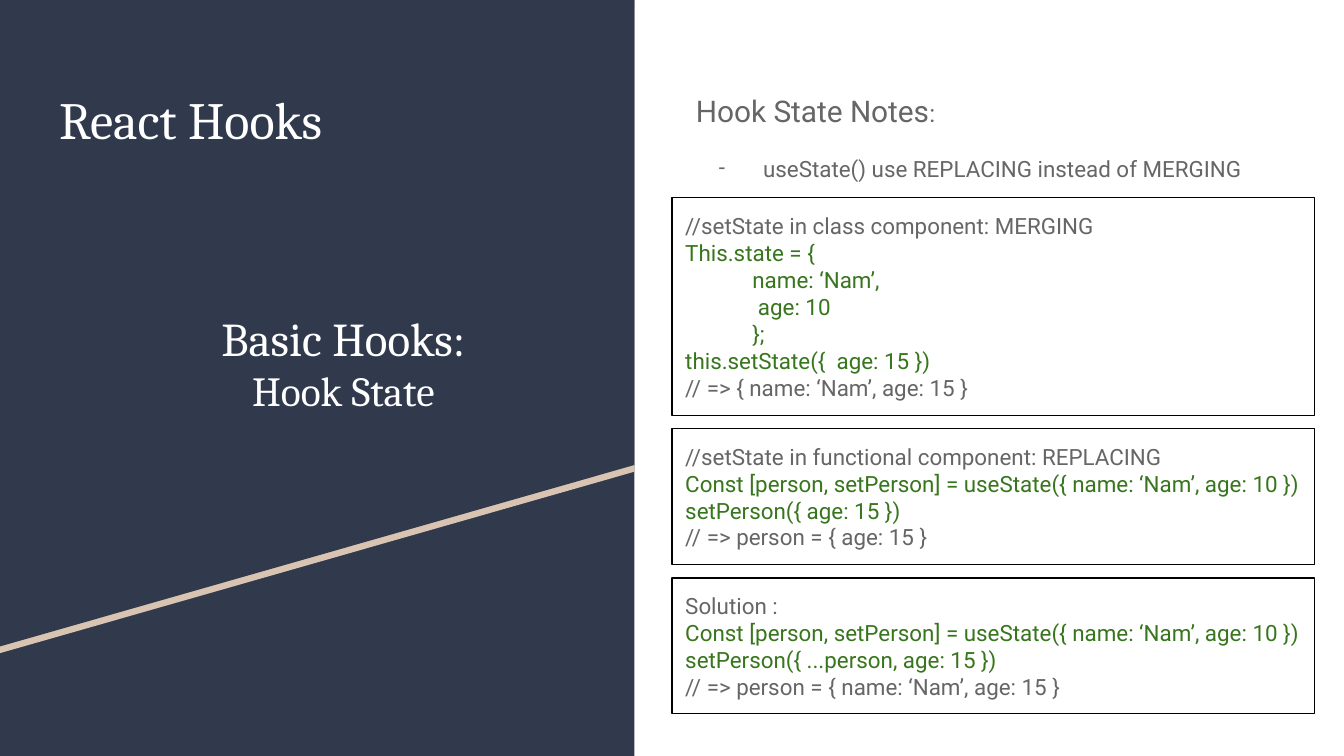
from lxml import etree
from pptx import Presentation
from pptx.dml.color import RGBColor
from pptx.enum.shapes import MSO_SHAPE
from pptx.enum.text import MSO_ANCHOR, MSO_AUTO_SIZE, PP_ALIGN
from pptx.oxml.ns import qn
from pptx.util import Inches, Pt

RECT = MSO_SHAPE.RECTANGLE
TOP, MIDDLE = MSO_ANCHOR.TOP, MSO_ANCHOR.MIDDLE
LEFT, CENTER = PP_ALIGN.LEFT, PP_ALIGN.CENTER
NO_FIT = MSO_AUTO_SIZE.NONE

NAVY, TAN, WHITE, BLACK = "31394D", "D9C4B1", "FFFFFF", "000000"
GREY, GREEN = "666666", "38761D"
SERIF, SANS = "Cambria", "Roboto"
SLIDE_W = 10
SLIDE_H = SLIDE_W * 9 / 16
PANEL_W = 4.72
SLOPE_RISE, STRIPE = 1.35, 0.05
CODE_LEFT, CODE_TOP, CODE_W, CODE_GAP = 5, 1.47, 4.78, 0.1

USE_STATE = "Const [person, setPerson] = useState({ name: ‘Nam’, age: 10 })"
CODE_BLOCKS = [
    (1.62, [
        ("//setState in class component: MERGING", GREY, 0),
        ("This.state = {", GREEN, 0),
        ("name: ‘Nam’,", GREEN, 0.5),
        (" age: 10", GREEN, 0.5),
        ("};", GREEN, 0.5),
        ("this.setState({  age: 15 })", GREEN, 0),
        ("// => { name: ‘Nam’, age: 15 }", GREY, 0),
    ]),
    (1.01, [
        ("//setState in functional component: REPLACING", GREY, 0),
        (USE_STATE, GREEN, 0),
        ("setPerson({ age: 15 })", GREEN, 0),
        ("// => person = { age: 15 }", GREY, 0),
    ]),
    (1.01, [
        ("Solution :", GREY, 0),
        (USE_STATE, GREEN, 0),
        ("setPerson({ ...person, age: 15 })", GREEN, 0),
        ("// => person = { name: ‘Nam’, age: 15 }", GREY, 0),
    ]),
]


def rgb(value):
    return RGBColor.from_string(value)


def set_frame(s, anchor):
    tf = s.text_frame
    values = dict.fromkeys(
        ("margin_left", "margin_top", "margin_right", "margin_bottom"), Inches(0.1))
    values.update(word_wrap=True, auto_size=NO_FIT, vertical_anchor=anchor)
    for name, value in values.items():
        setattr(tf, name, value)
    return tf


def add_run(p, text, size, font, color):
    r = p.add_run()
    r.text = text
    for name, value in {"size": Pt(size), "name": font}.items():
        setattr(r.font, name, value)
    r.font.color.rgb = rgb(color)


def next_paragraph(tf, index, align=LEFT):
    p = tf.add_paragraph() if index else tf.paragraphs[0]
    p.alignment = align
    return p


def set_indent(p, margin, first):
    pPr = p._p.get_or_add_pPr()
    pPr.set("marL", str(Inches(margin)))
    pPr.set("indent", str(Inches(first)))
    return pPr


def set_bullet(pPr, char, size, font, color):
    buClr = etree.SubElement(pPr, qn("a:buClr"))
    etree.SubElement(buClr, qn("a:srgbClr"), val=color)
    etree.SubElement(pPr, qn("a:buSzPts"), val=str(size * 100))
    etree.SubElement(pPr, qn("a:buFont"), typeface=font)
    etree.SubElement(pPr, qn("a:buChar"), char=char)


def paint(s, color):
    s.shadow.inherit = False
    s.fill.solid()
    s.fill.fore_color.rgb = rgb(color)
    s.line.fill.background()


def add_panel(slide, x, y, w, h):
    paint(slide.shapes.add_shape(RECT, *map(Inches, (x, y, w, h))), NAVY)
    low = y + 4.81
    for offset, color in ((STRIPE, TAN), (0, NAVY)):
        corners = [(x, y + offset), (x + w, y + offset),
                   (x + w, low - SLOPE_RISE + offset), (x, low + offset)]
        points = [(Inches(px), Inches(py)) for px, py in corners]
        builder = slide.shapes.build_freeform(*points[0])
        builder.add_line_segments(points[1:], close=True)
        paint(builder.convert_to_shape(), color)


def add_title(slide, x, y, w, h):
    s = slide.shapes.title
    for name, value in {"left": x, "top": y, "width": w, "height": h}.items():
        setattr(s, name, Inches(value))
    tf = set_frame(s, TOP)
    add_run(next_paragraph(tf, 0), "React Hooks", 28, SERIF, WHITE)


def add_subtitle(slide, x, y, w, h):
    tf = set_frame(slide.shapes.add_textbox(*map(Inches, (x, y, w, h))), TOP)
    for i, (text, size) in enumerate((("Basic Hooks:", 25.2), ("Hook State", 22.2))):
        p = next_paragraph(tf, i, CENTER)
        set_indent(p, 0.5, 0)
        add_run(p, text, size, SERIF, WHITE)


def add_notes_heading(slide, x, y, w, h):
    tf = set_frame(slide.shapes.add_textbox(*map(Inches, (x, y, w, h))), TOP)
    p = next_paragraph(tf, 0)
    p.line_spacing = 1.15
    add_run(p, "Hook State Notes", 16, SANS, GREY)
    add_run(p, ":", 13, SANS, GREY)
    p = next_paragraph(tf, 1)
    p.line_spacing = 1.15
    p.space_before = Pt(12)
    set_bullet(set_indent(p, 0.5, -0.33), "-", 12, SANS, GREY)
    add_run(p, "useState() use REPLACING instead of MERGING", 12, SANS, GREY)


def add_code_box(slide, x, y, w, h, lines):
    s = slide.shapes.add_shape(RECT, *map(Inches, (x, y, w, h)))
    s.shadow.inherit = False
    s.fill.background()
    s.line.color.rgb = rgb(BLACK)
    s.line.width = Pt(0.75)
    tf = set_frame(s, MIDDLE)
    for i, (text, color, first) in enumerate(lines):
        p = next_paragraph(tf, i)
        set_indent(p, 0, first)
        add_run(p, text, 12, SANS, color)


def main():
    prs = Presentation()
    prs.slide_width, prs.slide_height = Inches(SLIDE_W), Inches(SLIDE_H)
    slide = prs.slides.add_slide(prs.slide_layouts[5])
    add_panel(slide, 0, 0, PANEL_W, SLIDE_H)
    title = slide.shapes.title._element
    title.getparent().append(title)
    add_title(slide, 0.34, 0.55, 4.05, 0.81)
    add_notes_heading(slide, 5.08, 0.55, 4.56, 4.48)
    add_subtitle(slide, 0.28, 2.2, 4.05, 1.3)
    top = CODE_TOP
    for height, lines in CODE_BLOCKS:
        add_code_box(slide, CODE_LEFT, top, CODE_W, height, lines)
        top += height + CODE_GAP
    prs.save("out.pptx")


if __name__ == "__main__":
    main()
